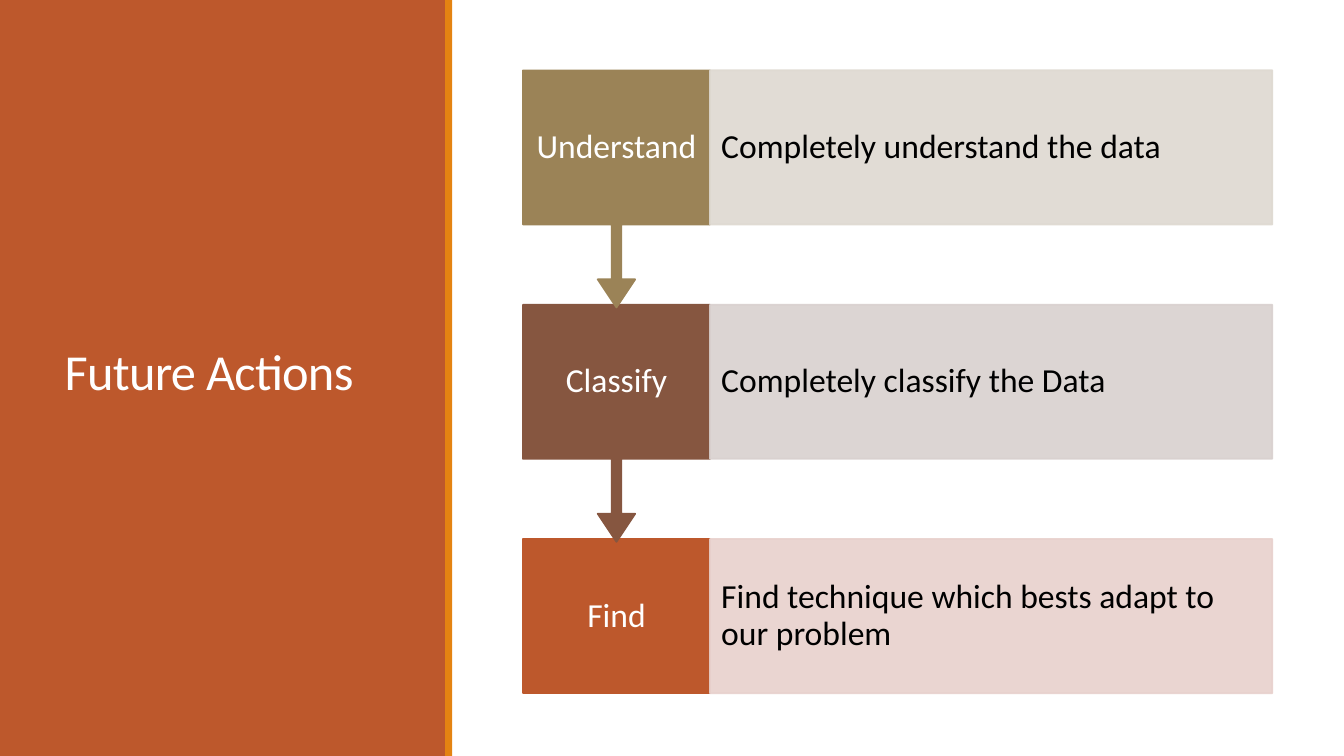
import pptx
import pptx.dml.color
import pptx.enum.shapes
import pptx.enum.text
import pptx.oxml
import pptx.oxml.ns
import pptx.util

Pt = pptx.util.Pt
SHAPES = pptx.enum.shapes.MSO_SHAPE
ALIGN = pptx.enum.text.PP_ALIGN

# Layout of the steps, in points
STEP_LEFT, STEP_TOP, STEP_PITCH = 373.5, 50.3, 167.4
LABEL_WIDTH, DETAIL_WIDTH = 133.7, 401.6
BOX_HEIGHT, CALLOUT_HEIGHT = 110.1, 169.3
CALLOUT_RATIOS = (0.05, 0.1, 0.15, 0.65)

# Label, label colour, detail, detail colour
STEPS = [
    ("Understand", "9B8357", "Completely understand the data", "DED9D1"),
    ("Classify", "865640", "Completely classify the Data", "D9D1CF"),
    ("Find", "BD582C", "Find technique which bests adapt to our problem", "E8D1CD"),
]


def rgb(code):
    return pptx.dml.color.RGBColor.from_string(code)


def apply_format(target, values):
    for name, value in values.items():
        setattr(target, name, value)


def set_opacity(box, percent):
    for color in box.element.spPr.iter(pptx.oxml.ns.qn("a:srgbClr")):
        alpha = pptx.oxml.parse_xml(
            f'<a:alpha {pptx.oxml.ns.nsdecls("a")} val="{percent * 1000}"/>')
        color.append(alpha)


def add_box(page, kind, left, top, width, height, color, outline=None):
    box = page.shapes.add_shape(kind, Pt(left), Pt(top), Pt(width), Pt(height))
    box.shadow.inherit = False
    box.fill.solid()
    box.fill.fore_color.rgb = rgb(color)
    if outline:
        box.line.color.rgb = rgb(color)
        box.line.width = Pt(outline)
    else:
        box.line.fill.background()
    return box


def write_text(box, text, size, color, align, spacing, inset_x, inset_y):
    frame = box.text_frame
    apply_format(frame, {
        "word_wrap": True,
        "auto_size": pptx.enum.text.MSO_AUTO_SIZE.NONE,
        "vertical_anchor": pptx.enum.text.MSO_ANCHOR.MIDDLE,
        "margin_left": Pt(inset_x), "margin_right": Pt(inset_x),
        "margin_top": Pt(inset_y), "margin_bottom": Pt(inset_y),
    })
    para = frame.paragraphs[0]
    apply_format(para, {"alignment": align, "line_spacing": spacing})
    span = para.add_run()
    span.text = text
    apply_format(span.font, {"name": "Calibri", "size": Pt(size)})
    span.font.color.rgb = rgb(color)
    return span


def add_title(page, text):
    title = page.shapes.title
    apply_format(title, {"left": Pt(39), "top": Pt(41),
                         "width": Pt(242.6), "height": Pt(454.3)})
    span = write_text(title, text, 36, "FFFFFF", ALIGN.LEFT, 0.85, 7.2, 3.6)
    span.font._element.set("spc", "-50")
    # Bring the title in front of the side panel
    title.element.getparent().append(title.element)


def add_step(page, index, label, color, detail, tint):
    top = STEP_TOP + index * STEP_PITCH
    is_last = index == len(STEPS) - 1

    # Label box; all but the last point down to the next step
    kind = SHAPES.RECTANGLE if is_last else SHAPES.DOWN_ARROW_CALLOUT
    height = BOX_HEIGHT if is_last else CALLOUT_HEIGHT
    box = add_box(page, kind, STEP_LEFT, top, LABEL_WIDTH, height, color, 1.25)
    if not is_last:
        for position, ratio in enumerate(CALLOUT_RATIOS):
            box.adjustments[position] = ratio
    write_text(box, label, 24, "FFFFFF", ALIGN.CENTER, 0.9, 9.4, 13.7)

    # Detail box
    box = add_box(page, SHAPES.RECTANGLE, STEP_LEFT + LABEL_WIDTH, top,
                  DETAIL_WIDTH, BOX_HEIGHT, tint, 1.25)
    set_opacity(box, 90)
    write_text(box, detail, 24, "000000", ALIGN.LEFT, 0.9, 8, 23.8)


def main():
    deck = pptx.Presentation()
    apply_format(deck, {"slide_width": Pt(960), "slide_height": Pt(540)})
    page = deck.slides.add_slide(deck.slide_layouts.get_by_name("Title Only"))

    # Side panel with its title and accent stripe
    add_box(page, SHAPES.RECTANGLE, 0, 0, 319, 540, "BD582C")
    add_title(page, "Future Actions")
    add_box(page, SHAPES.RECTANGLE, 318, 0, 5, 540, "E48312")

    # Steps from the bottom up, so each arrow tip lies over the next box
    for index, step in reversed(list(enumerate(STEPS))):
        add_step(page, index, *step)

    deck.save("out.pptx")


if __name__ == "__main__":
    main()
